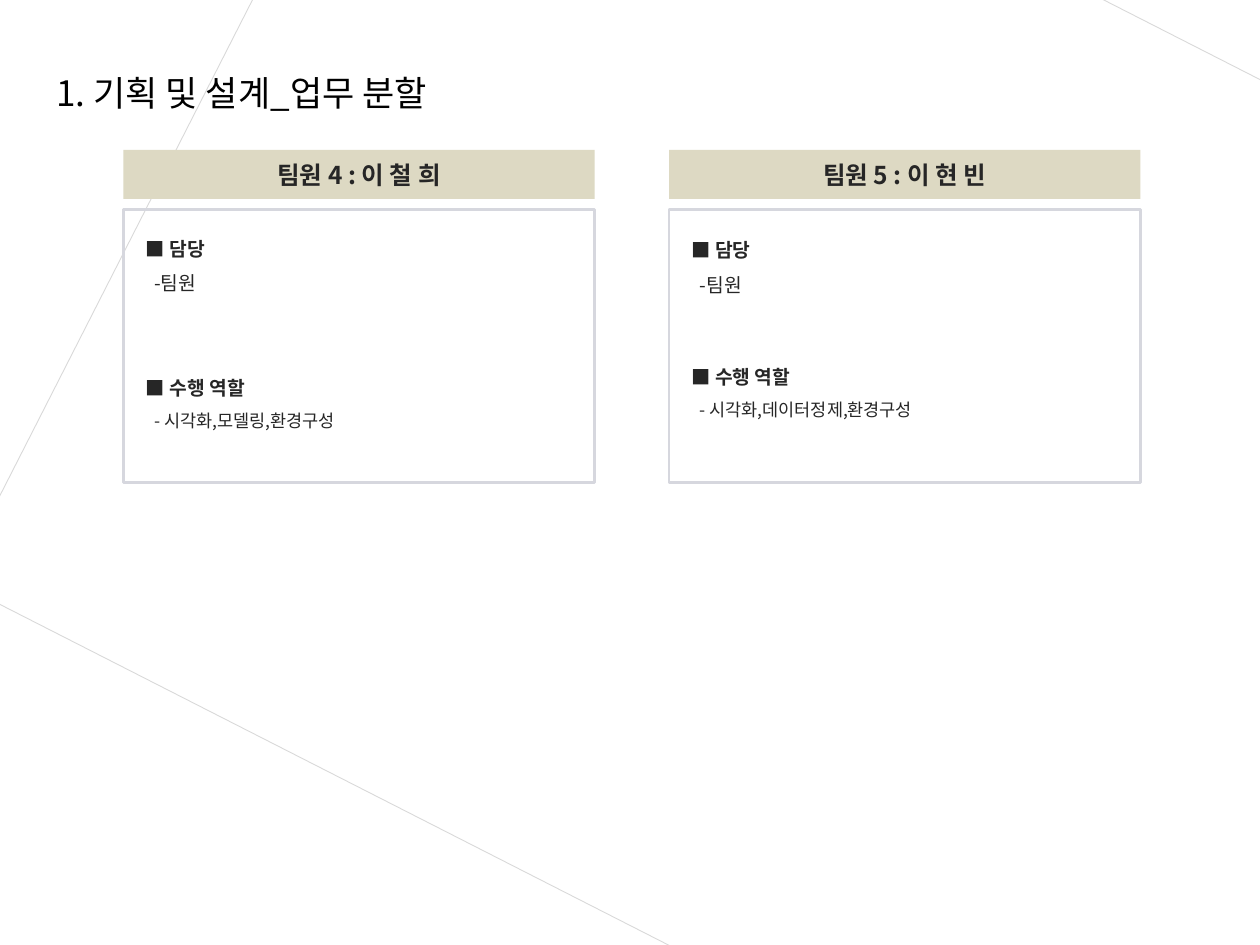
from dataclasses import dataclass

from lxml.etree import SubElement
from pptx import Presentation
from pptx.dml.color import RGBColor
from pptx.enum.shapes import MSO_SHAPE as Shape
from pptx.enum.text import MSO_ANCHOR as Anchor, PP_ALIGN as Align
from pptx.oxml.ns import qn
from pptx.util import Cm, Pt

FONT = "Noto Sans CJK KR"
COLORS = {
    "paper": "FFFFFF",
    "sheet_edge": "D9D9D9",
    "header": "DDD9C3",
    "frame": "D6D7DE",
    "title": "000000",
    "text": "262626",
}
# Card layout in centimetres
CARD_LEFT, CARD_PITCH, CARD_WIDTH = 2.49, 11.0, 9.5
HEADER_TOP, HEADER_HEIGHT = 3.02, 0.99
FRAME_TOP, FRAME_HEIGHT = 4.22, 5.51
TEXT_INSET = 0.2
DETAIL_INDENT = 0.17


@dataclass
class Member:
    name: str
    duty: str
    roles: str
    text_top: float
    section_gap: float


@dataclass
class Line:
    text: str
    size: float = 11
    bold: bool = False
    indent: float = 0
    before: float = 0


MEMBERS = [
    Member("팀원 4 : 이 철 희", "-팀원", "- 시각화,모델링,환경구성", 4.42, 40),
    Member("팀원 5 : 이 현 빈", "-팀원", "- 시각화,데이터정제,환경구성", 4.45, 33),
]


def color(name: str) -> RGBColor:
    return RGBColor.from_string(COLORS[name])


def format_runs(paragraph, size: float, color_name: str, bold: bool = False) -> None:
    for run in paragraph.runs:
        run.font.size = Pt(size)
        run.font.bold = bold
        run.font.name = FONT
        run.font.color.rgb = color(color_name)
        properties = run.font._element
        SubElement(properties, qn("a:ea")).set("typeface", FONT)


def add_rectangle(shapes, left: float, top: float, width: float, height: float,
                  fill: str = "", line: str = "", line_width: float = 0):
    shape = shapes.add_shape(Shape.RECTANGLE, Cm(left), Cm(top), Cm(width), Cm(height))
    shape.shadow.inherit = False
    if fill:
        shape.fill.solid()
        shape.fill.fore_color.rgb = color(fill)
    else:
        shape.fill.background()
    if line:
        shape.line.color.rgb = color(line)
        shape.line.width = Pt(line_width)
    else:
        shape.line.fill.background()
    return shape


def add_text(slide, left: float, top: float, width: float, height: float):
    box = slide.shapes.add_textbox(Cm(left), Cm(top), Cm(width), Cm(height))
    box.text_frame.word_wrap = True
    return box.text_frame


def add_card(slide, member: Member, left: float) -> None:
    # Header bar and frame
    group = slide.shapes.add_group_shape()
    header = add_rectangle(group.shapes, left, HEADER_TOP, CARD_WIDTH, HEADER_HEIGHT,
                           fill="header")
    header.text_frame.text = member.name
    header.text_frame.vertical_anchor = Anchor.MIDDLE
    paragraph = header.text_frame.paragraphs[0]
    paragraph.alignment = Align.CENTER
    format_runs(paragraph, 14, "text", bold=True)
    add_rectangle(group.shapes, left, FRAME_TOP, CARD_WIDTH, FRAME_HEIGHT,
                  line="frame", line_width=1.5)

    # Duty and roles
    lines = [
        Line("■ 담당", bold=True),
        Line(member.duty, indent=DETAIL_INDENT),
        Line("■ 수행 역할", bold=True, before=member.section_gap),
        Line(member.roles, size=10, indent=DETAIL_INDENT),
    ]
    frame = add_text(slide, left + TEXT_INSET, member.text_top,
                     CARD_WIDTH - 2 * TEXT_INSET, 4.4)
    frame.text = "\n".join(line.text for line in lines)
    for paragraph, line in zip(frame.paragraphs, lines):
        paragraph.line_spacing = 1.5
        if line.before:
            paragraph.space_before = Pt(line.before)
        if line.indent:
            paragraph._p.get_or_add_pPr().set("marL", str(Cm(line.indent)))
        format_runs(paragraph, line.size, "text", line.bold)


def main() -> None:
    presentation = Presentation()
    presentation.slide_width, presentation.slide_height = Cm(25.4), Cm(19.05)
    slide = presentation.slides.add_slide(presentation.slide_layouts[6])

    # Tilted background sheet
    sheet = add_rectangle(slide.shapes, 2.16, -0.97, 31.34, 20.96,
                          fill="paper", line="sheet_edge", line_width=0.5)
    sheet.rotation = 27

    # Title
    title = add_text(slide, 0.89, 1.32, 12.4, 1.12)
    title.text = "1. 기획 및 설계_업무 분할"
    format_runs(title.paragraphs[0], 20, "title")

    # Member cards
    for index, member in enumerate(MEMBERS):
        add_card(slide, member, CARD_LEFT + index * CARD_PITCH)

    presentation.save("out.pptx")


if __name__ == "__main__":
    main()
